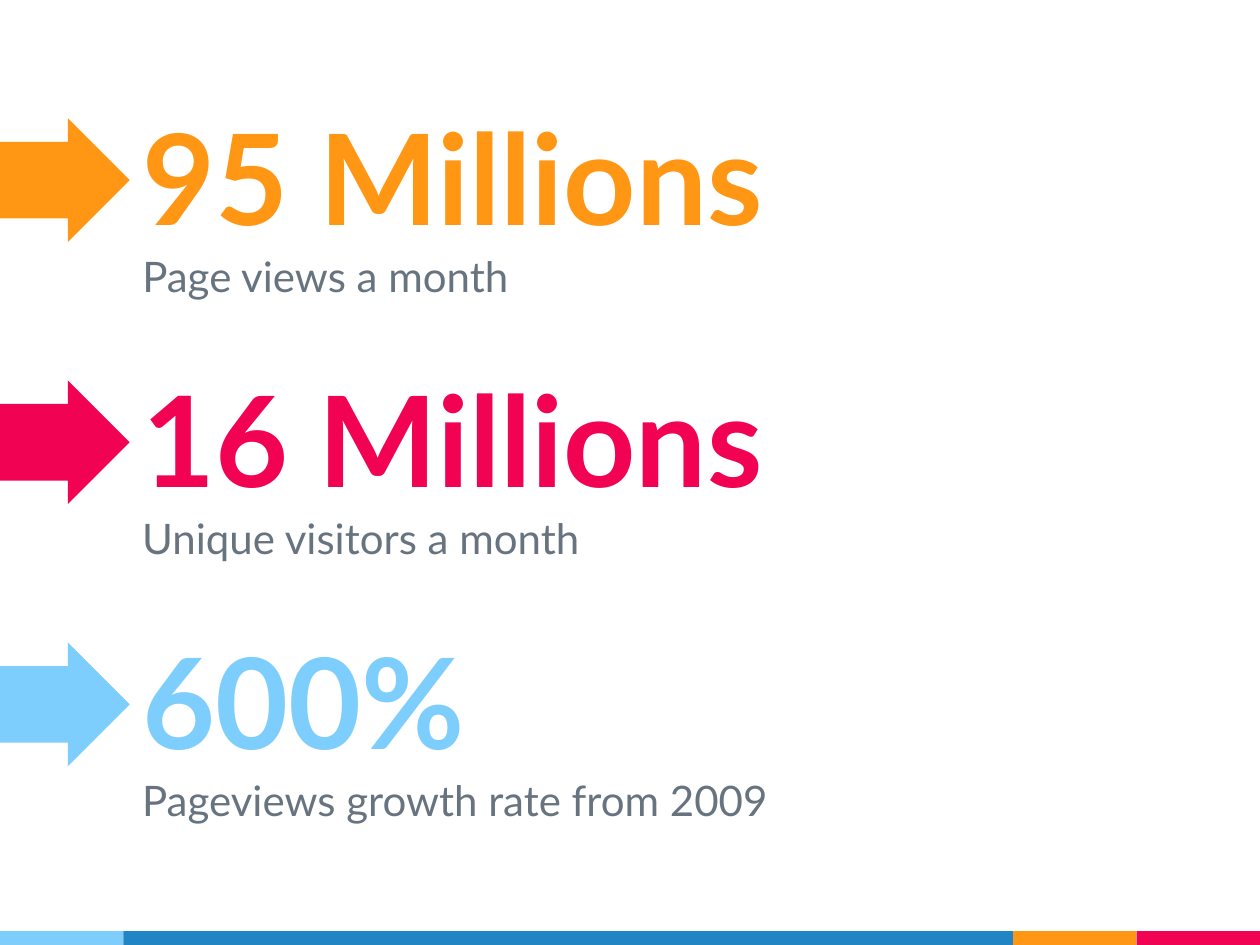
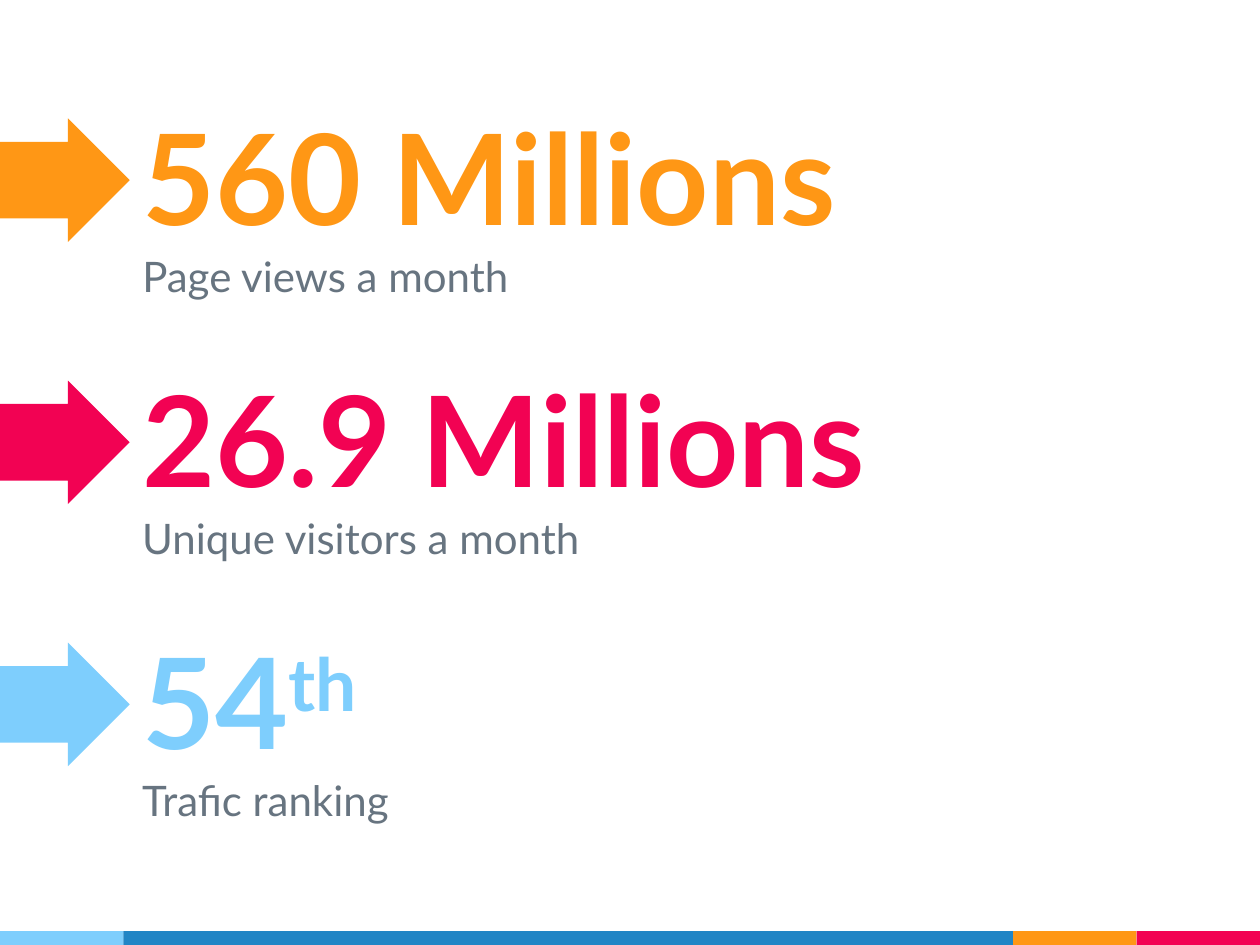
from pptx import Presentation
from pptx.dml.color import RGBColor
from pptx.enum.shapes import MSO_SHAPE
from pptx.enum.text import MSO_ANCHOR, MSO_AUTO_SIZE, PP_ALIGN
from pptx.util import Inches, Pt

RECTANGLE, RIGHT_ARROW = MSO_SHAPE.RECTANGLE, MSO_SHAPE.RIGHT_ARROW
TOP, BOTTOM = MSO_ANCHOR.TOP, MSO_ANCHOR.BOTTOM
LEFT, FIXED_SIZE = PP_ALIGN.LEFT, MSO_AUTO_SIZE.NONE

PAGE_WIDTH, PAGE_HEIGHT = 10, 7.5
FONT = "Lato"
ORANGE, PINK, SKY, BLUE, GREY = "FF9715", "F20253", "7ECEFD", "2185C5", "677480"
ROW_COLORS = (ORANGE, PINK, SKY)

FIRST_ROW, ROW_PITCH = 0.78, 2.08
TEXT_LEFT, TEXT_WIDTH = 1.03, 8.22
FIGURE_HEIGHT, CAPTION_HEIGHT = 1.31, 0.68
CAPTION_DROP, ARROW_DROP, ARROW_HEIGHT = 1.11, 0.16, 0.98
BAND_HEIGHT, BAND_END = 0.11, 0.98

PAGES = (
    (
        ("95 Millions", "", "Page views a month"),
        ("16 Millions", "", "Unique visitors a month"),
        ("600%", "", "Pageviews growth rate from 2009"),
    ),
    (
        ("560 Millions", "", "Page views a month"),
        ("26.9 Millions", "", "Unique visitors a month"),
        ("54", "th", "Trafic ranking"),
    ),
)


def rgb(value):
    """Turn a hex string into a colour."""
    return RGBColor.from_string(value)


def add_block(page, kind, box, color):
    """Add a flat, borderless shape in the given box."""
    block = page.shapes.add_shape(kind, *map(Inches, box))
    block.shadow.inherit = False
    block.fill.solid()
    block.fill.fore_color.rgb = rgb(color)
    block.line.fill.background()
    return block


def add_band(page, master):
    """Build the four-colour bottom band and hand it to the slide master."""
    middle = PAGE_WIDTH - 3 * BAND_END
    left = 0
    widths = (BAND_END, middle, BAND_END, BAND_END)
    for number, (width, color) in enumerate(zip(widths, (SKY, BLUE, ORANGE, PINK))):
        box = (left, PAGE_HEIGHT - BAND_HEIGHT, width, BAND_HEIGHT)
        bar = add_block(page, RECTANGLE, box, color)
        bar.element.nvSpPr.cNvPr.set("id", str(100 + number))
        master.shapes.element.append(bar.element)
        left += width


def set_text(holder, box, text, size, color, bold=False, anchor=TOP, raised=""):
    """Place a text holder and fill it with one styled paragraph."""
    holder.left, holder.top, holder.width, holder.height = map(Inches, box)
    frame = holder.text_frame
    frame.word_wrap, frame.auto_size = True, FIXED_SIZE
    frame.vertical_anchor = anchor
    frame.margin_left = frame.margin_right = Inches(0.1)
    frame.margin_top = frame.margin_bottom = Inches(0.1)
    para = frame.paragraphs[0]
    para.alignment, para.space_before = LEFT, Pt(0)
    para.font.name, para.font.size, para.font.bold = FONT, Pt(size), bold
    para.font.color.rgb = rgb(color)
    para.add_run().text = text
    if raised:
        span = para.add_run()
        span.text = raised
        span._r.get_or_add_rPr().set("baseline", "30000")


def add_row(page, top, holders, content, color):
    """Add one key figure with its caption and arrow, starting at top."""
    figure, raised, caption = content
    title, subtitle = holders
    set_text(title, (TEXT_LEFT, top, TEXT_WIDTH, FIGURE_HEIGHT),
             figure, 72, color, True, BOTTOM, raised)
    set_text(subtitle, (TEXT_LEFT, top + CAPTION_DROP, TEXT_WIDTH, CAPTION_HEIGHT),
             caption, 24, GREY)
    arrow = add_block(page, RIGHT_ARROW,
                      (0, top + ARROW_DROP, TEXT_LEFT, ARROW_HEIGHT), color)
    arrow.adjustments[0], arrow.adjustments[1] = 0.62, 0.5


def fill_figures_page(page, rows):
    """Stack the key figures, the first one in the placeholders."""
    for number, (content, color) in enumerate(zip(rows, ROW_COLORS)):
        if number == 0:
            holders = list(page.placeholders)
        else:
            holders = [page.shapes.add_textbox(0, 0, 0, 0) for _ in range(2)]
        add_row(page, FIRST_ROW + number * ROW_PITCH, holders, content, color)


def main():
    """Build and save the deck."""
    deck = Presentation()
    deck.slide_width, deck.slide_height = Inches(PAGE_WIDTH), Inches(PAGE_HEIGHT)
    layout = deck.slide_layouts[0]
    pages = [deck.slides.add_slide(layout) for _ in PAGES]
    add_band(pages[0], deck.slide_master)
    for page, rows in zip(pages, PAGES):
        fill_figures_page(page, rows)
    deck.save("out.pptx")


if __name__ == "__main__":
    main()
